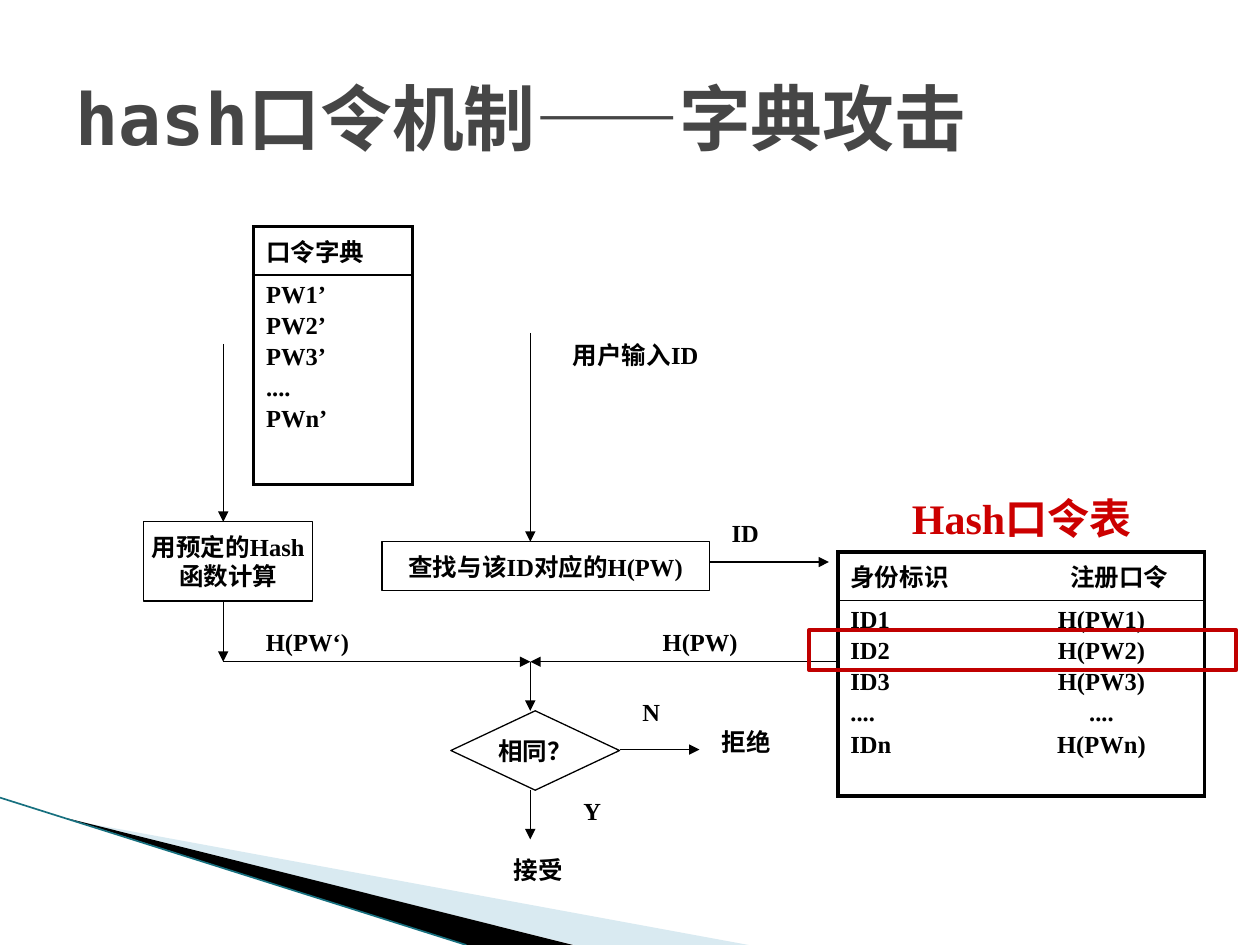
from lxml.etree import SubElement
from pptx import Presentation
from pptx.dml.color import RGBColor
from pptx.enum.shapes import MSO_CONNECTOR, MSO_SHAPE
from pptx.enum.text import MSO_ANCHOR, PP_ALIGN
from pptx.oxml.ns import qn
from pptx.util import Cm, Pt

BLACK = RGBColor(0x00, 0x00, 0x00)
WHITE = RGBColor(0xFF, 0xFF, 0xFF)
TITLE_GREY = RGBColor(0x46, 0x46, 0x46)
HEADING_RED = RGBColor(0xCC, 0x00, 0x00)
HIGHLIGHT_RED = RGBColor(0xC0, 0x00, 0x00)
PALE_BLUE = RGBColor(0xD9, 0xEA, 0xF1)
TEAL = RGBColor(0x17, 0x70, 0x7F)
BODY_FONT = "Times New Roman"
TITLE_FONT = "DejaVu Sans Mono"


def add_run(paragraph, words, size=14, color=BLACK, font=BODY_FONT):
    """Append one bold run to a paragraph."""
    run = paragraph.add_run()
    run.text = words
    run.font.name = font
    run.font.size = Pt(size)
    run.font.bold = True
    run.font.color.rgb = color


def fill_lines(frame, lines, align=PP_ALIGN.LEFT, gap=0, tab=None):
    """Write each line as a paragraph, with an optional centred tab stop."""
    for index, words in enumerate(lines):
        paragraph = frame.add_paragraph() if index else frame.paragraphs[0]
        if tab:
            stops = SubElement(paragraph._p.get_or_add_pPr(), qn("a:tabLst"))
            SubElement(stops, qn("a:tab"), pos=str(Cm(tab)), algn="ctr")
        paragraph.alignment = align
        if index and gap:
            paragraph.space_before = Pt(gap)
        add_run(paragraph, words)


def add_title(slide, words):
    """Place and format the title placeholder."""
    title = slide.shapes.title
    title.left, title.top, title.width, title.height = Cm(1.27), Cm(0.76), Cm(22.86), Cm(3.18)
    title.text_frame.vertical_anchor = MSO_ANCHOR.MIDDLE
    paragraph = title.text_frame.paragraphs[0]
    paragraph.alignment = PP_ALIGN.LEFT
    add_run(paragraph, words, 41, TITLE_GREY, TITLE_FONT)


def add_wedge(slide, corners, color):
    """Draw a filled corner wedge without outline."""
    points = [(Cm(x), Cm(y)) for x, y in corners]
    builder = slide.shapes.build_freeform(*points[0])
    builder.add_line_segments(points[1:], close=True)
    wedge = builder.convert_to_shape()
    wedge.shadow.inherit = False
    wedge.fill.solid()
    wedge.fill.fore_color.rgb = color
    wedge.line.fill.background()


def add_line(slide, start, end, color=BLACK, weight=0.75, arrow=True):
    """Draw a straight line, with an arrowhead at its end if wanted."""
    ends = [Cm(value) for value in (*start, *end)]
    line = slide.shapes.add_connector(MSO_CONNECTOR.STRAIGHT, *ends)
    line.line.color.rgb = color
    line.line.width = Pt(weight)
    if arrow:
        SubElement(line.line._get_or_add_ln(), qn("a:tailEnd"), type="triangle")
    SubElement(line._element.spPr, qn("a:effectLst"))


def add_label(slide, words, left, top, width, height=0.84, size=14,
              color=BLACK, align=PP_ALIGN.LEFT):
    """Add a one-line text label."""
    label = slide.shapes.add_textbox(Cm(left), Cm(top), Cm(width), Cm(height))
    label.text_frame.word_wrap = True
    paragraph = label.text_frame.paragraphs[0]
    paragraph.alignment = align
    add_run(paragraph, words, size, color)


def add_outlined(slide, kind, place, color=BLACK, weight=0.75):
    """Draw an unfilled outlined shape and return it."""
    outlined = slide.shapes.add_shape(kind, *[Cm(value) for value in place])
    outlined.shadow.inherit = False
    outlined.fill.background()
    outlined.line.color.rgb = color
    outlined.line.width = Pt(weight)
    return outlined


def add_step(slide, kind, place, lines):
    """Draw a white flowchart step with centred text."""
    step = add_outlined(slide, kind, place)
    step.fill.solid()
    step.fill.fore_color.rgb = WHITE
    step.text_frame.word_wrap = False
    step.text_frame.vertical_anchor = MSO_ANCHOR.MIDDLE
    fill_lines(step.text_frame, lines, PP_ALIGN.CENTER)


def set_borders(cell, top, bottom):
    """Give a cell thick sides and the stated top and bottom widths."""
    properties = cell._tc.get_or_add_tcPr()
    for side, weight in (("L", 2.25), ("R", 2.25), ("T", top), ("B", bottom)):
        border = SubElement(properties, qn(f"a:ln{side}"), w=str(Pt(weight)))
        solid = SubElement(border, qn("a:solidFill"))
        SubElement(solid, qn("a:srgbClr"), val=str(BLACK))


def add_list_table(slide, place, heights, header, entries, tabs=(None, None)):
    """Add a framed table with a header row and one row of entries."""
    left, top, width = place
    frame = slide.shapes.add_table(2, 1, Cm(left), Cm(top), Cm(width), Cm(sum(heights)))
    table = frame.table
    table.first_row = table.horz_banding = False
    rows = zip(heights, ([header], entries), tabs, ((2.25, 1), (1, 2.25)))
    for index, (height, lines, tab, edges) in enumerate(rows):
        table.rows[index].height = Cm(height)
        cell = table.cell(index, 0)
        set_borders(cell, *edges)
        cell.fill.background()
        fill_lines(cell.text_frame, lines, gap=2.3, tab=tab)


def main():
    """Build the dictionary attack slide."""
    deck = Presentation()
    deck.slide_width, deck.slide_height = Cm(25.4), Cm(19.05)
    slide = deck.slides.add_slide(deck.slide_layouts[5])

    add_wedge(slide, [(1.4, 16.53), (15.09, 19.05), (11.58, 19.05)], PALE_BLUE)
    add_wedge(slide, [(1.37, 16.5), (11.55, 19.05), (9.4, 19.05)], BLACK)
    add_line(slide, (0, 16.08), (9.4, 19.05), TEAL, 0.95, arrow=False)
    add_title(slide, "hash口令机制——字典攻击")

    add_list_table(slide, (5.11, 4.57, 3.2), (0.84, 4.22), "口令字典",
                   ["PW1’", "PW2’", "PW3’", "....", "PWn’"])
    add_list_table(slide, (16.89, 11.13, 7.39), (0.97, 3.94), "身份标识\t注册口令",
                   ["ID1\tH(PW1)", "ID2\tH(PW2)", "ID3\tH(PW3)", "....\t....", "IDn\tH(PWn)"],
                   tabs=(5.42, 5.06))

    hash_x, match_x, match_y = 4.5, 10.69, 13.34
    for start, end in (
        ((hash_x, 6.93), (hash_x, 10.52)),
        ((hash_x, 12.12), (hash_x, match_y)),
        ((hash_x, match_y), (match_x, match_y)),
        ((16.89, match_y), (match_x, match_y)),
        ((match_x, 6.71), (match_x, 10.92)),
        ((match_x, match_y), (match_x, 14.33)),
        ((match_x, 15.93), (match_x, 16.92)),
        ((12.5, 15.11), (14.1, 15.11)),
        ((14.3, 11.33), (16.71, 11.33)),
    ):
        add_line(slide, start, end)

    add_step(slide, MSO_SHAPE.RECTANGLE, (2.9, 10.52, 3.4, 1.6), ["用预定的Hash", "函数计算"])
    add_step(slide, MSO_SHAPE.RECTANGLE, (7.7, 10.92, 6.6, 0.99), ["查找与该ID对应的H(PW)"])
    add_step(slide, MSO_SHAPE.FLOWCHART_DECISION, (9.09, 14.33, 3.4, 1.6), ["相同？"])

    for words, left, top, width in (
        ("用户输入ID", 11.3, 6.73, 5.6),
        ("ID", 14.5, 10.31, 1.4),
        ("H(PW‘)", 5.11, 12.52, 3.2),
        ("H(PW)", 13.11, 12.52, 3.2),
        ("N", 12.7, 13.92, 2),
        ("拒绝", 14.3, 14.53, 2),
        ("Y", 11.51, 15.93, 2),
        ("接受", 10.11, 17.12, 1.8),
    ):
        add_label(slide, words, left, top, width)
    add_label(slide, "Hash口令表", 17.09, 9.8, 7.01, 1.27, 24, HEADING_RED, PP_ALIGN.CENTER)
    add_outlined(slide, MSO_SHAPE.RECTANGLE, (16.31, 12.7, 8.61, 0.81), HIGHLIGHT_RED, 2.25)

    deck.save("out.pptx")


if __name__ == "__main__":
    main()
